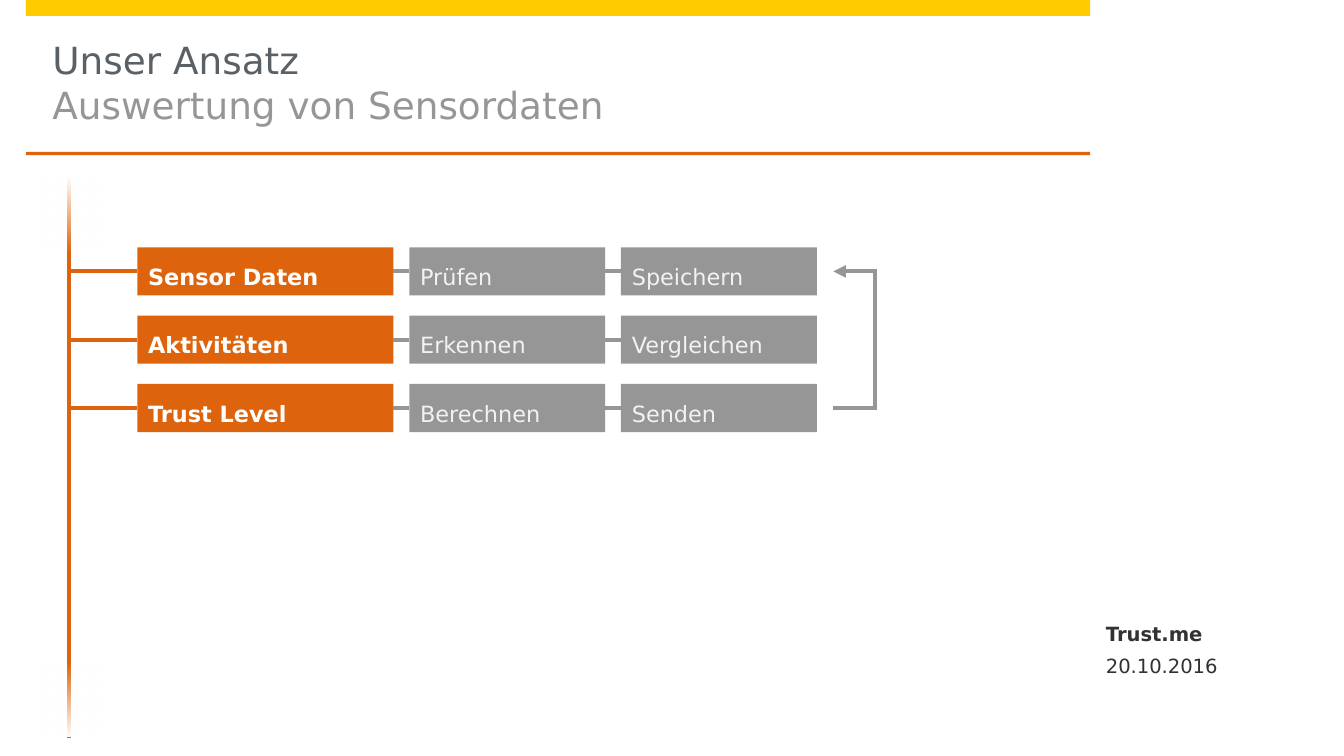
"""Build the slide on evaluating sensor data as three process rows on a vertical axis."""
from dataclasses import dataclass
from itertools import pairwise

from lxml.etree import SubElement
from pptx import Presentation
from pptx.dml.color import RGBColor
from pptx.enum.shapes import MSO_CONNECTOR, MSO_SHAPE
from pptx.enum.text import MSO_ANCHOR, MSO_AUTO_SIZE, PP_ALIGN
from pptx.oxml.ns import qn
from pptx.shapes.autoshape import Shape
from pptx.shapes.connector import Connector
from pptx.slide import Slide
from pptx.text.text import TextFrame, _Paragraph
from pptx.util import Pt


@dataclass(frozen=True)
class Theme:
    font: str = "DejaVu Sans"
    yellow: str = "FFCC00"
    orange: str = "DD640C"
    grey: str = "969696"
    slate: str = "5A6166"
    dark: str = "323232"
    light: str = "F2F2F2"
    white: str = "FFFFFF"
    title_size: float = 20
    box_size: float = 12
    footer_size: float = 10.5
    line_width: float = 2.25


@dataclass(frozen=True)
class Box:
    x: float
    y: float
    w: float
    h: float


@dataclass(frozen=True)
class Column:
    x: float
    w: float
    fill: str
    color: str
    bold: bool


@dataclass(frozen=True)
class Footer:
    text: str
    box: Box
    anchor: MSO_ANCHOR
    bold: bool


T = Theme()
TITLE = (("Unser Ansatz", T.slate), ("Auswertung von Sensordaten", T.grey))
TITLE_BOX = Box(28, 8.6, 541.5, 72.7)
BANDS = ((Box(13.9, 0, 570.2, 8.6), T.yellow), (Box(13.9, 81.4, 570.2, 1.8), T.orange))
COLUMNS = (
    Column(73.6, 137.2, T.orange, T.white, True),
    Column(219.3, 105, T.grey, T.light, False),
    Column(332.7, 105, T.grey, T.light, False),
)
ROWS = (
    ("Sensor Daten", "Prüfen", "Speichern"),
    ("Aktivitäten", "Erkennen", "Vergleichen"),
    ("Trust Level", "Berechnen", "Senden"),
)
ROW_TOP, ROW_PITCH, ROW_H = 132.5, 36.6, 25.8
AXIS_X, AXIS_TOP, AXIS_BOTTOM = 37, 95, 395.3
FADES = ((Box(17.3, 97.9, 39.6, 33.8), 90), (Box(17.3, 357.8, 39.6, 33.8), 270))
LOOP_LEFT, LOOP_RIGHT = 446.4, 468.9
FOOTERS = (
    Footer("Trust.me", Box(583.9, 304.6, 121.7, 41), MSO_ANCHOR.BOTTOM, True),
    Footer("20.10.2016", Box(583.9, 350.6, 121.7, 13.7), MSO_ANCHOR.TOP, False),
)


def apply(target: object, values: dict) -> None:
    """Set every named attribute on the target."""
    for name, value in values.items():
        setattr(target, name, value)


def frame(tf: TextFrame, anchor: MSO_ANCHOR, insets: tuple[float, ...]) -> None:
    """Format a text frame with left, top, right and bottom insets."""
    names = ("margin_left", "margin_top", "margin_right", "margin_bottom")
    margins = {name: Pt(v) for name, v in zip(names, insets)}
    apply(tf, {"word_wrap": True, "auto_size": MSO_AUTO_SIZE.NONE,
               "vertical_anchor": anchor, **margins})


def add_run(p: _Paragraph, text: str, size: float, color: str, bold: bool = False) -> None:
    """Add a formatted run to a paragraph."""
    p.alignment = PP_ALIGN.LEFT
    r = p.add_run()
    r.text = text
    apply(r.font, {"name": T.font, "size": Pt(size), "bold": bold})
    r.font.color.rgb = RGBColor.from_string(color)


def add_rect(s: Slide, box: Box) -> Shape:
    """Add a rectangle without line or shadow."""
    sp = s.shapes.add_shape(MSO_SHAPE.RECTANGLE, Pt(box.x), Pt(box.y), Pt(box.w), Pt(box.h))
    sp.shadow.inherit = False
    sp.line.fill.background()
    return sp


def add_solid(s: Slide, box: Box, color: str) -> Shape:
    """Add a rectangle with a solid fill."""
    sp = add_rect(s, box)
    sp.fill.solid()
    sp.fill.fore_color.rgb = RGBColor.from_string(color)
    return sp


def add_fade(s: Slide, box: Box, rotation: float) -> None:
    """Add a rectangle that runs from white to clear."""
    sp = add_rect(s, box)
    sp.rotation = rotation
    sp.fill.gradient()
    sp.fill.gradient_angle = 0
    for position, stop in enumerate(sp.fill.gradient_stops):
        stop.position = position
        stop.color.rgb = RGBColor.from_string(T.white)
    clear = sp._element.spPr.findall(f".//{qn('a:srgbClr')}")[-1]
    SubElement(clear, qn("a:alpha"), val="0")


def add_line(s: Slide, x1: float, y1: float, x2: float, y2: float,
             color: str, arrow: bool = False) -> Connector:
    """Add a straight line, with an arrowhead at its end on request."""
    line = s.shapes.add_connector(MSO_CONNECTOR.STRAIGHT, Pt(x1), Pt(y1), Pt(x2), Pt(y2))
    line.line.width = Pt(T.line_width)
    line.line.color.rgb = RGBColor.from_string(color)
    if arrow:
        SubElement(line.line._get_or_add_ln(), qn("a:tailEnd"), type="triangle")
    SubElement(line._element.spPr, qn("a:effectLst"))
    return line


def add_title(s: Slide) -> None:
    """Place the title and write its two lines."""
    sp = s.shapes.title
    apply(sp, {"left": Pt(TITLE_BOX.x), "top": Pt(TITLE_BOX.y),
               "width": Pt(TITLE_BOX.w), "height": Pt(TITLE_BOX.h)})
    frame(sp.text_frame, MSO_ANCHOR.TOP, (0, 11.5, 0, 0))
    p = sp.text_frame.paragraphs[0]
    for i, (text, color) in enumerate(TITLE):
        if i:
            p.add_line_break()
        add_run(p, text, T.title_size, color)


def add_step(s: Slide, col: Column, y: float, text: str) -> Shape:
    """Add one labelled process box."""
    sp = add_solid(s, Box(col.x, y, col.w, ROW_H), col.fill)
    frame(sp.text_frame, MSO_ANCHOR.TOP, (5.8, 2.9, 5.8, 2.9))
    p = sp.text_frame.paragraphs[0]
    p.line_spacing = Pt(20)
    add_run(p, text, T.box_size, col.color, col.bold)
    return sp


def add_row(s: Slide, y: float, labels: tuple[str, ...]) -> None:
    """Add a row of boxes, linked to each other and to the axis."""
    mid = y + ROW_H / 2
    steps = [add_step(s, col, y, text) for col, text in zip(COLUMNS, labels)]
    branch = add_line(s, AXIS_X, mid, COLUMNS[0].x, mid, T.orange)
    branch.end_connect(steps[0], 1)
    for left, right in pairwise(steps):
        link = add_line(s, 0, mid, 0, mid, T.grey)
        link.begin_connect(left, 3)
        link.end_connect(right, 1)


def add_loop(s: Slide, top: float, bottom: float) -> None:
    """Add the return path from the last row to the first."""
    half = T.line_width / 2
    add_line(s, LOOP_LEFT, bottom, LOOP_RIGHT + half, bottom, T.grey)
    add_line(s, LOOP_RIGHT, bottom, LOOP_RIGHT, top - half, T.grey)
    add_line(s, LOOP_RIGHT, top, LOOP_LEFT, top, T.grey, arrow=True)


def add_footer(s: Slide, footer: Footer) -> None:
    """Add one footer text."""
    b = footer.box
    tf = s.shapes.add_textbox(Pt(b.x), Pt(b.y), Pt(b.w), Pt(b.h)).text_frame
    frame(tf, footer.anchor, (8.6, 0, 0, 0))
    add_run(tf.paragraphs[0], footer.text, T.footer_size, T.dark, footer.bold)


def main() -> None:
    """Build and save the presentation."""
    prs = Presentation()
    apply(prs, {"slide_width": Pt(720), "slide_height": Pt(405)})
    s = prs.slides.add_slide(prs.slide_layouts[5])
    for box, color in BANDS:
        add_solid(s, box, color)
    add_title(s)
    add_line(s, AXIS_X, AXIS_TOP, AXIS_X, AXIS_BOTTOM, T.orange)
    for box, rotation in FADES:
        add_fade(s, box, rotation)
    tops = [ROW_TOP + i * ROW_PITCH for i in range(len(ROWS))]
    for y, labels in zip(tops, ROWS):
        add_row(s, y, labels)
    add_loop(s, tops[0] + ROW_H / 2, tops[-1] + ROW_H / 2)
    for footer in FOOTERS:
        add_footer(s, footer)
    prs.save("out.pptx")


if __name__ == "__main__":
    main()
